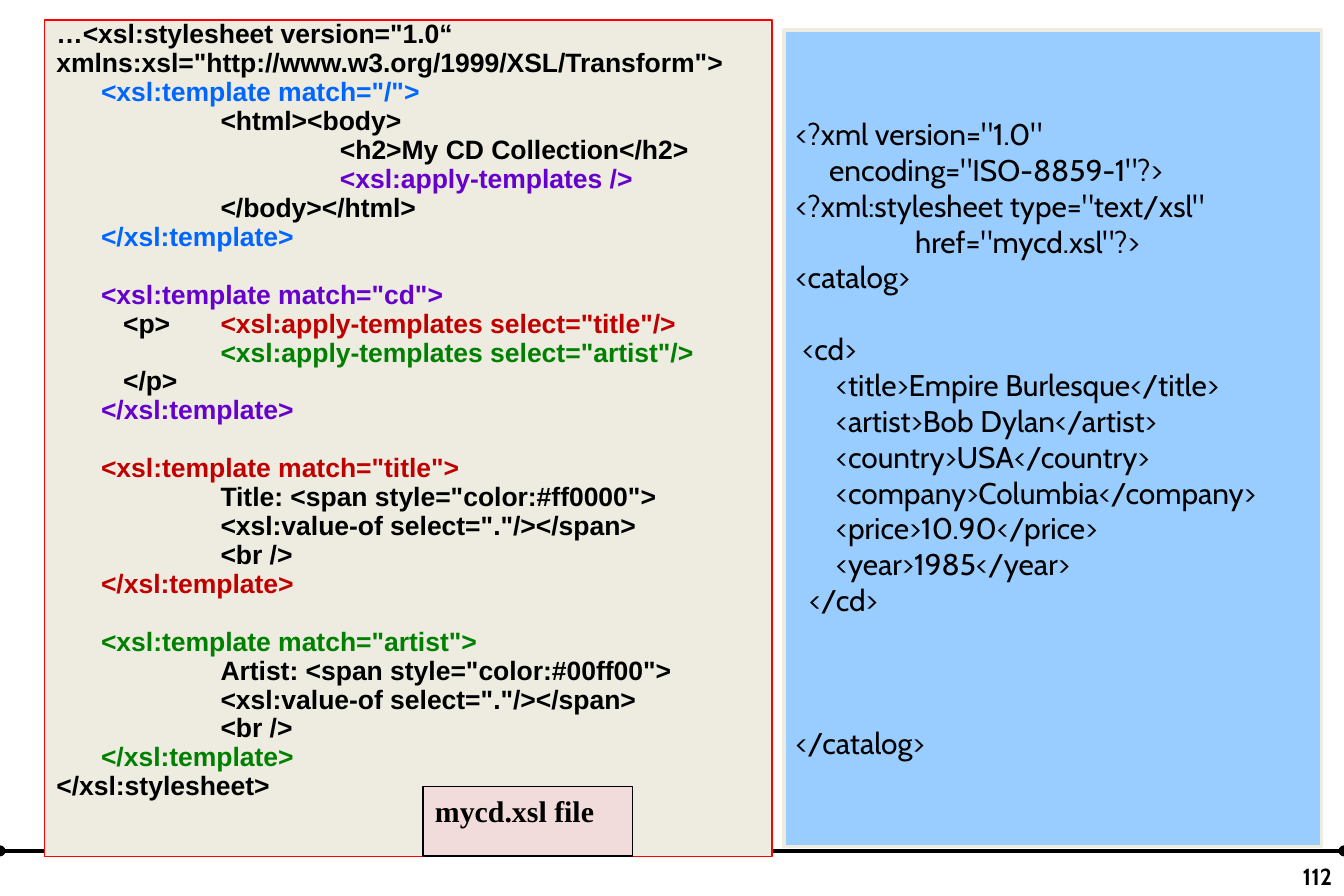
from pptx import Presentation
from pptx.dml.color import RGBColor
from pptx.enum.shapes import MSO_CONNECTOR, MSO_SHAPE
from pptx.enum.text import MSO_ANCHOR, PP_ALIGN
from pptx.oxml.ns import qn
from pptx.util import Cm, Pt
from lxml.etree import SubElement

BLACK, BLUE, PURPLE, RED, GREEN = "000000", "0066FF", "6600CC", "C00000", "008000"
TAB = 2.54

# Each line: gap before it in blank lines, then (text, colour) runs
XSL_LINES = [
    (0, ('…<xsl:stylesheet version="1.0“', BLACK)),
    (0, ('xmlns:xsl="http://www.w3.org/1999/XSL/Transform">', BLACK)),
    (0, ('\t<xsl:template match="/">', BLUE)),
    (0, ("\t\t<html><body>", BLACK)),
    (0, ("\t\t\t<h2>My CD Collection</h2>", BLACK)),
    (0, ("\t\t\t<xsl:apply-templates />", PURPLE)),
    (0, ("\t\t</body></html>", BLACK)),
    (0, ("\t</xsl:template>", BLUE)),
    (1, ('\t<xsl:template match="cd">', PURPLE)),
    (0, ("\t   <p>\t", BLACK), ('<xsl:apply-templates select="title"/>', RED)),
    (0, ('\t\t<xsl:apply-templates select="artist"/>', GREEN)),
    (0, ("\t   </p>", BLACK)),
    (0, ("\t</xsl:template>", PURPLE)),
]
for name, code, color in (("title", "ff0000", RED), ("artist", "00ff00", GREEN)):
    XSL_LINES += [
        (1, (f'\t<xsl:template match="{name}">', color)),
        (0, (f'\t\t{name.title()}: <span style="color:#{code}">', BLACK)),
        (0, ('\t\t<xsl:value-of select="."/></span>', BLACK)),
        (0, ("\t\t<br />", BLACK)),
        (0, ("\t</xsl:template>", color)),
    ]
XSL_LINES.append((0, ("</xsl:stylesheet>", BLACK)))

XML_LINES = [(gap, (text, BLACK)) for gap, text in [
    (0, '<?xml version="1.0"'),
    (0, '     encoding="ISO-8859-1"?>'),
    (0, '<?xml:stylesheet type="text/xsl"'),
    (0, '\thref="mycd.xsl"?>'),
    (0, "<catalog>"),
    (1, " <cd>"),
    (0, "      <title>Empire Burlesque</title>"),
    (0, "      <artist>Bob Dylan</artist>"),
    (0, "      <country>USA</country>"),
    (0, "      <company>Columbia</company>"),
    (0, "      <price>10.90</price>"),
    (0, "      <year>1985</year>"),
    (0, "  </cd>"),
    (3, "</catalog>"),
]]


def rgb(value):
    return RGBColor.from_string(value)


def add_lines(tf, lines, font, size, bold=False, anchor=MSO_ANCHOR.TOP,
              align=PP_ALIGN.LEFT, spacing=None, before=0, pitch=0, hang=0):
    tf.word_wrap = True
    tf.vertical_anchor = anchor
    for i, (gap, *runs) in enumerate(lines):
        p = tf.paragraphs[0] if i == 0 else tf.add_paragraph()
        pPr = p._p.get_or_add_pPr()
        pPr.set("defTabSz", str(Cm(TAB)))
        if hang:
            pPr.set("marL", str(Cm(hang)))
            pPr.set("indent", str(-Cm(hang)))
        tabs = SubElement(pPr, qn("a:tabLst"))
        for n in range(8):
            SubElement(tabs, qn("a:tab"), pos=str(Cm(n * TAB)), algn="l")
        p.alignment = align
        if spacing:
            p.line_spacing = spacing
        p.space_before = Pt(before + gap * pitch if i else 0)
        for text, color in runs:
            r = p.add_run()
            r.text = text
            r.font.name, r.font.size, r.font.bold = font, Pt(size), bold
            r.font.color.rgb = rgb(color)


def add_panel(s, box, fill, line, width, kind=MSO_SHAPE.RECTANGLE):
    sp = s.shapes.add_shape(kind, *map(Cm, box))
    sp.shadow.inherit = False
    sp.fill.solid()
    sp.fill.fore_color.rgb = rgb(fill)
    sp.line.color.rgb = rgb(line)
    sp.line.width = Pt(width)
    return sp.text_frame


def add_footer(s, left, top, width):
    # Rule with round ends
    rule = s.shapes.add_connector(MSO_CONNECTOR.STRAIGHT, Cm(left), Cm(top),
                                  Cm(left + width), Cm(top))
    rule.line.color.rgb = rgb(BLACK)
    rule.line.width = Pt(2.25)
    ln = rule.line._get_or_add_ln()
    for end in ("a:headEnd", "a:tailEnd"):
        SubElement(ln, qn(end), type="oval")
    SubElement(rule._element.spPr, qn("a:effectLst"))
    # Page number
    number = s.shapes.add_textbox(Cm(left + width - 5.29), Cm(top - 0.31), Cm(5.29), Cm(1.27))
    add_lines(number.text_frame, [(0, ("112", BLACK))], "Cabin", 14, bold=True,
              anchor=MSO_ANCHOR.BOTTOM, align=PP_ALIGN.RIGHT)


def add_stylesheet(s, left, top, width, height):
    tf = add_panel(s, (left, top, width, height), "EEECE1", "FF0000", 1)
    add_lines(tf, XSL_LINES, "Arial", 16, bold=True, spacing=0.7, before=4,
              pitch=17.4, hang=0.95)


def add_catalog(s, left, top, width, height):
    tf = add_panel(s, (left, top, width, height), "99CCFF", "EEECE1", 2)
    add_lines(tf, XML_LINES, "Cabin", 18, anchor=MSO_ANCHOR.MIDDLE, pitch=21.6)


def add_file_label(s, left, top, width, height):
    tf = add_panel(s, (left, top, width, height), "F2DCDB", BLACK, 1,
                   MSO_SHAPE.FLOWCHART_PROCESS)
    add_lines(tf, [(0, ("mycd.xsl file", BLACK))], "Times New Roman", 18, bold=True)


def main():
    prs = Presentation()
    prs.slide_width, prs.slide_height = Cm(28.58), Cm(19.05)
    s = prs.slides.add_slide(prs.slide_layouts[6])
    add_footer(s, 0, 18.09, 28.58)
    add_stylesheet(s, 0.95, 0.43, 15.47, 17.78)
    add_catalog(s, 16.67, 0.64, 11.43, 17.36)
    add_file_label(s, 9, 16.72, 4.45, 1.48)
    prs.save("out.pptx")


if __name__ == "__main__":
    main()
